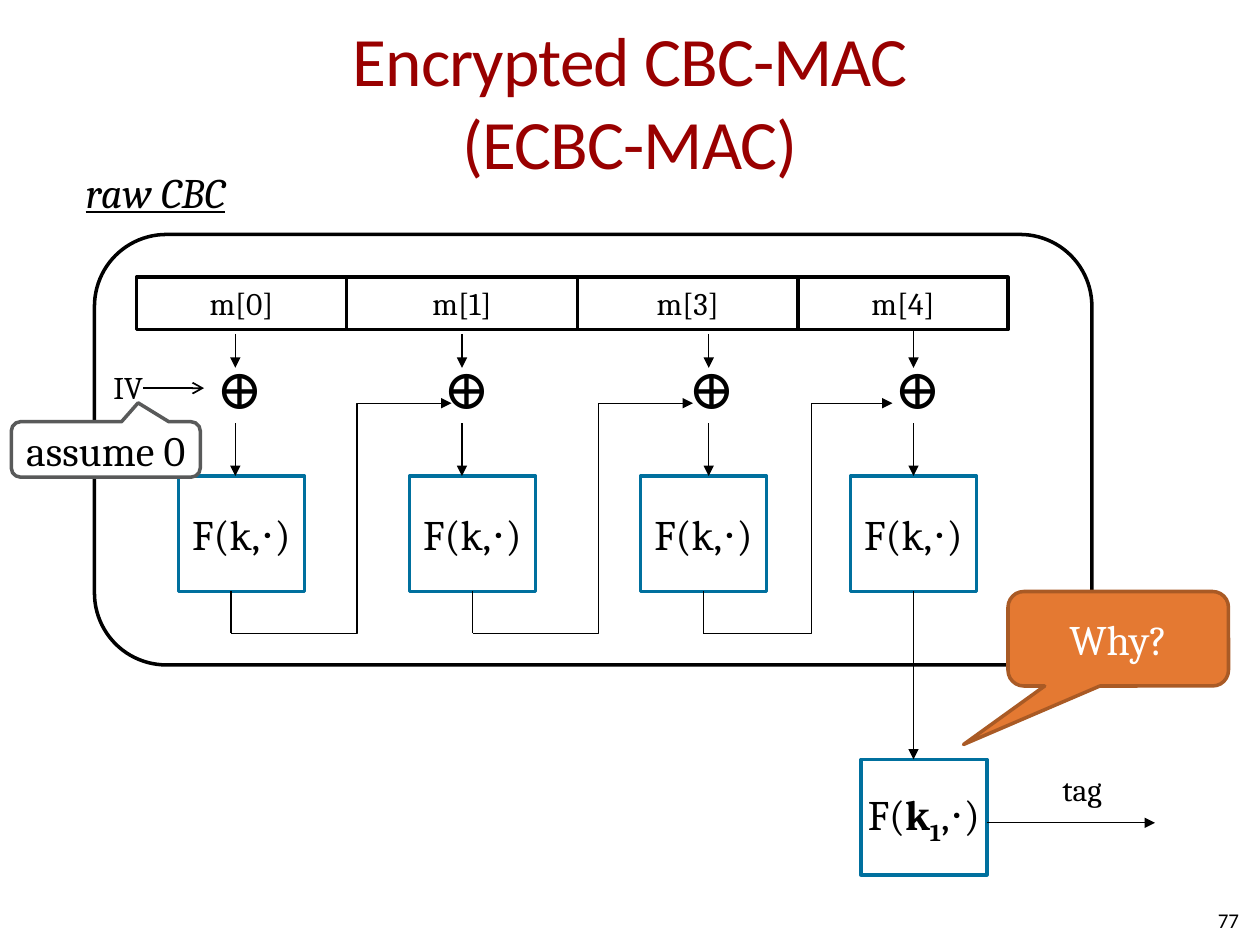
from dataclasses import dataclass
from typing import Optional

import pptx
import pptx.dml.color
import pptx.enum.shapes
import pptx.enum.text
import pptx.oxml
import pptx.oxml.ns
import pptx.util

Pt = pptx.util.Pt
Shape = pptx.enum.shapes.MSO_SHAPE
Align = pptx.enum.text.PP_ALIGN
Anchor = pptx.enum.text.MSO_ANCHOR

BLACK, WHITE, BLUE = "000000", "FFFFFF", "00709E"
CELL_TOP, CELL_HEIGHT = 158.4, 30
SUM_TOP = 198.7
BOX_TOP, BOX_WIDTH, BOX_HEIGHT = 272, 72, 66
BOX_BOTTOM = BOX_TOP + BOX_HEIGHT
FEEDBACK_TOP, FEEDBACK_BOTTOM = 230.4, 362
TAG_BOX_LEFT, TAG_BOX_TOP, TAG_ARROW_Y = 492, 434, 470.2


@dataclass
class Feedback:
    """Path from one cipher box back up to the next sum."""
    start: float
    turn: float
    end: float


@dataclass
class Stage:
    message: str
    cell_left: float
    cell_width: float
    box_left: float
    arrow_x: float
    sum_left: float
    feedback: Optional[Feedback] = None


STAGES = [
    Stage("m[0]", 78, 120, 102, 134.5, 116.6, Feedback(132, 204, 258)),
    Stage("m[1]", 198, 132, 234, 264, 246.2, Feedback(270, 342, 396)),
    Stage("m[3]", 330, 126, 366, 405, 386.6, Feedback(402, 463.7, 510)),
    Stage("m[4]", 456, 120, 486, 522, 504),
]


def color(value: str):
    return pptx.dml.color.RGBColor.from_string(value)


def style_font(paragraph, size: float, ink: str = BLACK, name: str = "Cambria"):
    font = paragraph.font
    font.name, font.size = name, Pt(size)
    font.color.rgb = color(ink)
    return font


def remove_insets(frame):
    frame.margin_left = frame.margin_right = 0
    frame.margin_top = frame.margin_bottom = 0


def add_box(page, kind, left, top, width, height, text="", size=24, fill=WHITE,
            outline=BLACK, ink=BLACK, wrap=False, adjustments=()):
    box = page.shapes.add_shape(kind, Pt(left), Pt(top), Pt(width), Pt(height))
    box.shadow.inherit = False
    box.fill.solid()
    box.fill.fore_color.rgb = color(fill)
    box.line.color.rgb = color(outline)
    box.line.width = Pt(2)
    for index, value in enumerate(adjustments):
        box.adjustments[index] = value
    frame = box.text_frame
    frame.word_wrap = wrap
    frame.vertical_anchor = Anchor.MIDDLE
    para = frame.paragraphs[0]
    para.alignment = Align.CENTER
    if text:
        para.add_run().text = text
    style_font(para, size, ink)
    return box


def add_callout(page, left, top, width, height, text, pointer, fill, outline, ink):
    box = add_box(page, Shape.ROUNDED_RECTANGULAR_CALLOUT, left, top, width, height, text,
                  fill=fill, outline=outline, ink=ink, wrap=True,
                  adjustments=(*pointer, 0.167))
    remove_insets(box.text_frame)


def add_label(page, left, top, width, height, text, size, name="Cambria"):
    label = page.shapes.add_textbox(Pt(left), Pt(top), Pt(width), Pt(height))
    label.text_frame.word_wrap = False
    para = label.text_frame.paragraphs[0]
    para.add_run().text = text
    style_font(para, size, name=name)
    return label


def style_line(shape, head: Optional[str], width: float = 0.75):
    shape.line.color.rgb = color(BLACK)
    shape.line.width = Pt(width)
    if head:
        tail = pptx.oxml.parse_xml(
            f'<a:tailEnd {pptx.oxml.ns.nsdecls("a")} type="{head}"/>')
        shape.line._get_or_add_ln().append(tail)


def add_line(page, x1, y1, x2, y2, head: Optional[str] = "triangle", width=0.75):
    line = page.shapes.add_connector(pptx.enum.shapes.MSO_CONNECTOR.STRAIGHT,
                                     Pt(x1), Pt(y1), Pt(x2), Pt(y2))
    style_line(line, head, width)
    line._element.spPr.append(
        pptx.oxml.parse_xml(f'<a:effectLst {pptx.oxml.ns.nsdecls("a")}/>'))
    return line


def add_feedback(page, route: Feedback):
    add_line(page, route.start, BOX_BOTTOM, route.start, FEEDBACK_BOTTOM, head=None)
    builder = page.shapes.build_freeform(Pt(route.start), Pt(FEEDBACK_BOTTOM))
    corners = [(route.turn, FEEDBACK_BOTTOM), (route.turn, FEEDBACK_TOP),
               (route.end, FEEDBACK_TOP)]
    builder.add_line_segments([(Pt(x), Pt(y)) for x, y in corners], close=False)
    bend = builder.convert_to_shape()
    bend.shadow.inherit = False
    bend.fill.background()
    style_line(bend, "triangle")


def add_stage(page, stage: Stage):
    """Draw one message block with its sum and cipher; return the cipher box."""
    add_box(page, Shape.RECTANGLE, stage.cell_left, CELL_TOP, stage.cell_width,
            CELL_HEIGHT, stage.message, size=18)
    cipher = add_box(page, Shape.RECTANGLE, stage.box_left, BOX_TOP, BOX_WIDTH,
                     BOX_HEIGHT, "F(k,⋅)", outline=BLUE)
    add_label(page, stage.sum_left, SUM_TOP, 39.6, 46, "⊕", 32)
    first_y = 190.8 if stage.feedback else CELL_TOP + CELL_HEIGHT
    add_line(page, stage.arrow_x, first_y, stage.arrow_x, 210.2)
    arrow = add_line(page, stage.arrow_x, 242, stage.arrow_x, BOX_TOP)
    if stage.arrow_x == stage.box_left + BOX_WIDTH / 2:
        arrow.end_connect(cipher, 0)
    if stage.feedback:
        add_feedback(page, stage.feedback)
    return cipher


def add_title(page):
    title = page.shapes.title
    title.left, title.top, title.width, title.height = Pt(36), Pt(12.2), Pt(648), Pt(90)
    frame = title.text_frame
    frame.text = "Encrypted CBC-MAC\v(ECBC-MAC)"
    frame.auto_size = pptx.enum.text.MSO_AUTO_SIZE.NONE
    frame.margin_left = frame.margin_right = 0
    frame.vertical_anchor = Anchor.MIDDLE
    para = frame.paragraphs[0]
    para.alignment = Align.CENTER
    style_font(para, 39.6, "990000", "Calibri")
    for span in para.runs:
        span._r.get_or_add_rPr().set("spc", "-50")


def add_tag_output(page, last_cipher):
    box = add_box(page, Shape.RECTANGLE, TAG_BOX_LEFT, TAG_BOX_TOP, BOX_WIDTH, BOX_HEIGHT,
                  outline=BLUE)
    para = box.text_frame.paragraphs[0]
    for text, bold, baseline in (("F(", False, 0), ("k", True, 0),
                                 ("1", True, -25000), (",⋅)", False, 0)):
        span = para.add_run()
        span.text = text
        span.font.bold = bold
        span._r.get_or_add_rPr().set("baseline", str(baseline))
    arrow_x = STAGES[-1].arrow_x
    arrow = add_line(page, arrow_x, BOX_BOTTOM, arrow_x, TAG_BOX_TOP)
    arrow.begin_connect(last_cipher, 2)
    add_line(page, TAG_BOX_LEFT + BOX_WIDTH, TAG_ARROW_Y, 660, TAG_ARROW_Y)
    add_label(page, 600, 436.3, 39, 29, "tag", 18)


def main():
    deck = pptx.Presentation()
    deck.slide_width, deck.slide_height = Pt(720), Pt(540)
    page = deck.slides.add_slide(deck.slide_layouts[5])

    add_box(page, Shape.ROUNDED_RECTANGLE, 54, 134, 570, 246, adjustments=(0.167,))
    heading = add_label(page, 41.8, 91.4, 106.6, 36.7, "raw CBC", 24)
    heading_font = heading.text_frame.paragraphs[0].font
    heading_font.italic = heading_font.underline = True
    add_title(page)

    ciphers = [add_stage(page, stage) for stage in STAGES]
    add_tag_output(page, ciphers[-1])

    add_callout(page, 576, 338, 126, 54, "Why?", (-0.702, 1.119), "E47932", "A95A25", WHITE)
    remove_insets(add_label(page, 64.8, 210.2, 17.3, 21.6, "IV", 18).text_frame)
    add_line(page, 82, 221.8, 116.6, 221.8, head="arrow", width=1)
    add_callout(page, 6.5, 241, 108, 31.7, "assume 0", (0.171, -0.84), WHITE, "595A5A", BLACK)

    number = add_label(page, 540, 511.2, 168, 28.8, "77", 12, "Calibri").text_frame
    remove_insets(number)
    number.word_wrap = True
    number.vertical_anchor = Anchor.MIDDLE
    number.paragraphs[0].alignment = Align.RIGHT

    deck.save("out.pptx")


if __name__ == "__main__":
    main()
